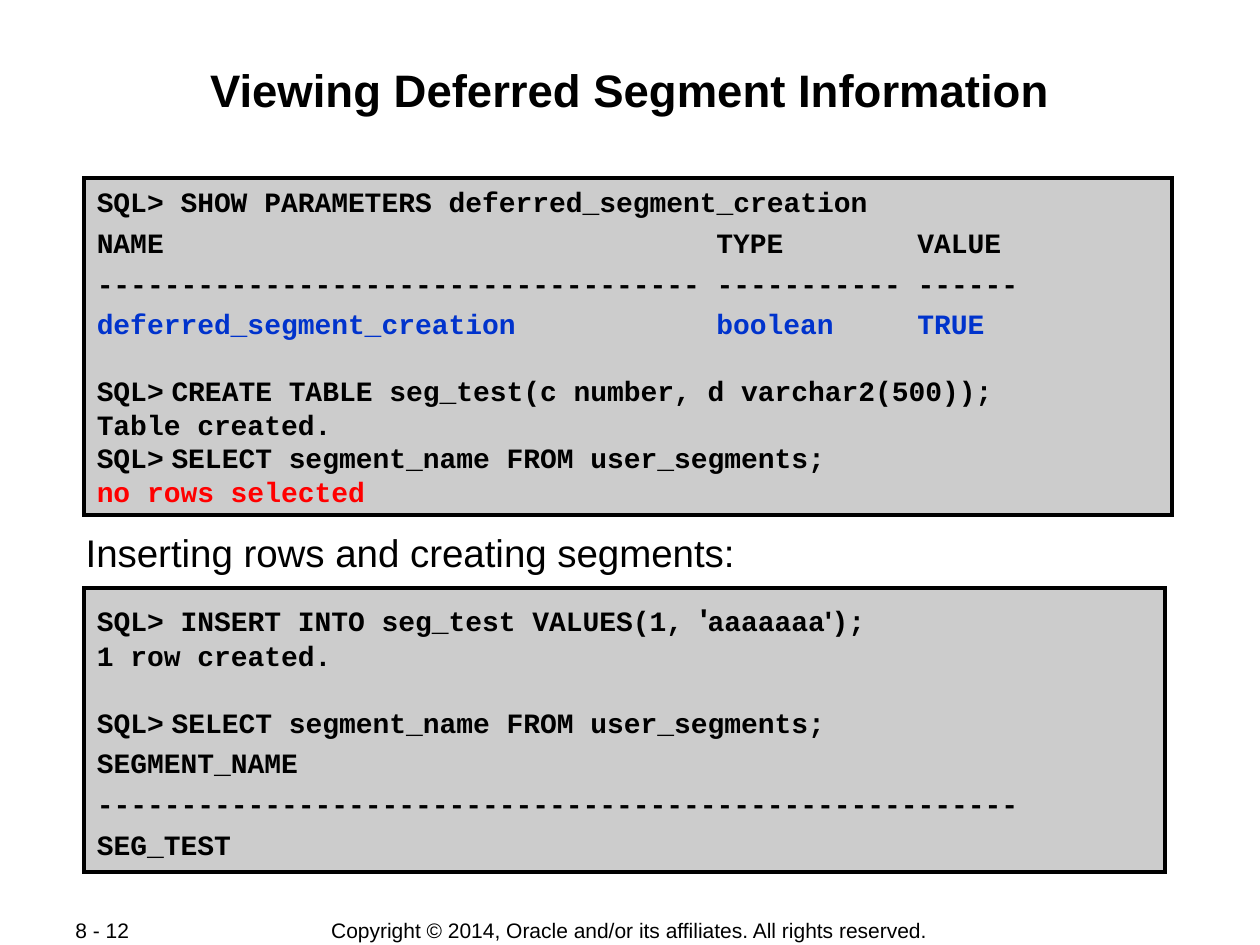
import pptx
import pptx.util
import pptx.dml.color
import pptx.enum.shapes
import pptx.enum.text
import pptx.oxml
import pptx.oxml.ns

Pt = pptx.util.Pt
ALIGN = pptx.enum.text.PP_ALIGN
ANCHOR = pptx.enum.text.MSO_ANCHOR

COLORS = {"text": "000000", "panel": "CCCCCC", "value": "0033CC", "error": "FF0000"}
SANS, MONO = "Arial", "Courier New"
CODE_SIZE, CODE_PITCH, CHAR_WIDTH = 16, 19.2, 9.57
COLUMNS = (37, 49)
GAP, BLANK = 4, CODE_PITCH

PROMPT = [("SQL>", {}), (" ", {"font": SANS})]
QUERY = PROMPT + [("SELECT segment_name FROM user_segments;", {})]

VIEWING = [
    ("SQL> SHOW PARAMETERS deferred_segment_creation", 0, "text"),
    ("NAME\tTYPE\tVALUE", GAP, "text"),
    (" ".join("-" * n for n in (36, 11, 6)), GAP, "text"),
    ("deferred_segment_creation\tboolean\tTRUE", GAP, "value"),
    (PROMPT + [("CREATE TABLE seg_test(c number, d varchar2(500));", {})], BLANK, "text"),
    ("Table created.", 0, "text"),
    (QUERY, 0, "text"),
    ("no rows selected", 0, "error"),
]
INSERTING = [
    ([("SQL> INSERT INTO seg_test VALUES(1, ", {}),
      ("'", {"font": SANS, "size": 18}),
      ("aaaaaaa", {}),
      ("'", {"font": SANS}),
      (");", {})], 0, "text"),
    ("1 row created.", 0, "text"),
    (QUERY, BLANK, "text"),
    ("SEGMENT_NAME", GAP, "text"),
    ("-" * 55, GAP, "text"),
    ("SEG_TEST", GAP, "text"),
]
PANELS = [
    (VIEWING, (48.24, 101.9, 621.36, 192.24), 0.72),
    (INSERTING, (48.24, 336.24, 617.76, 162), 3.5),
]
LABELS = [
    ("Copyright © 2014, Oracle and/or its affiliates. All rights reserved.",
     (169.64, 524.16, 380, 15.12), (7.2, 0), ANCHOR.MIDDLE,
     {"size": 12, "align": ALIGN.CENTER}),
    ("8 - 12", (36, 524.16, 76.32, 14.4), (7.2, 0), ANCHOR.MIDDLE, {"size": 12}),
    ("Viewing Deferred Segment Information", (48.24, 34.56, 623.52, 69.12), (0.72, 0.72),
     ANCHOR.TOP, {"size": 26, "bold": True, "align": ALIGN.CENTER}),
    ("Inserting rows and creating segments:", (48.24, 301.68, 623.52, 28.08), (0.72, 0.72),
     ANCHOR.TOP, {"size": 22}),
]


def rgb(name):
    return pptx.dml.color.RGBColor.from_string(COLORS[name])


def element(tag):
    return pptx.oxml.parse_xml(f"<a:{tag} {pptx.oxml.ns.nsdecls('a')}/>")


def set_frame(tf, side, top, bottom, anchor):
    tf.margin_left = tf.margin_right = Pt(side)
    tf.margin_top, tf.margin_bottom = Pt(top), Pt(bottom)
    tf.vertical_anchor = anchor
    tf.word_wrap = True


def add_text(p, text, size=12, font=SANS, color="text", bold=False,
             align=ALIGN.LEFT, before=0, pitch=None, tabs=()):
    p.alignment = align
    p.space_before = Pt(before)
    if pitch:
        p.line_spacing = Pt(pitch)
    if tabs:
        tab_list = element("tabLst")
        for x in tabs:
            tab = element("tab")
            tab.set("pos", str(int(Pt(x))))
            tab.set("algn", "l")
            tab_list.append(tab)
        p._p.get_or_add_pPr().append(tab_list)
    for part, style in [(text, {})] if isinstance(text, str) else text:
        r = p.add_run()
        r.text = part
        r.font.name = style.get("font", font)
        r.font.size = Pt(style.get("size", size))
        r.font.bold = bold
        r.font.color.rgb = rgb(color)


def add_panel(s, lines, box, top):
    sp = s.shapes.add_shape(pptx.enum.shapes.MSO_SHAPE.RECTANGLE, *map(Pt, box))
    sp.shadow.inherit = False
    sp.fill.solid()
    sp.fill.fore_color.rgb = rgb("panel")
    sp.line.color.rgb = rgb("text")
    sp.line.width = Pt(2.25)
    miter = element("miter")
    miter.set("lim", "800000")
    sp.line._get_or_add_ln().append(miter)
    tf = sp.text_frame
    set_frame(tf, 7.2, top, 0.72, ANCHOR.MIDDLE)
    for i, (text, before, color) in enumerate(lines):
        p = tf.add_paragraph() if i else tf.paragraphs[0]
        tabs = [c * CHAR_WIDTH for c in COLUMNS] if "\t" in text else ()
        add_text(p, text, size=CODE_SIZE, font=MONO, color=color, bold=True,
                 before=before, pitch=CODE_PITCH, tabs=tabs)


def main():
    prs = pptx.Presentation()
    prs.slide_width, prs.slide_height = Pt(720), Pt(540)
    s = prs.slides.add_slide(prs.slide_layouts[6])
    for text, box, (side, edge), anchor, style in LABELS:
        tf = s.shapes.add_textbox(*map(Pt, box)).text_frame
        set_frame(tf, side, edge, edge, anchor)
        add_text(tf.paragraphs[0], text, **style)
    for lines, box, top in PANELS:
        add_panel(s, lines, box, top)
    prs.save("out.pptx")


if __name__ == "__main__":
    main()
